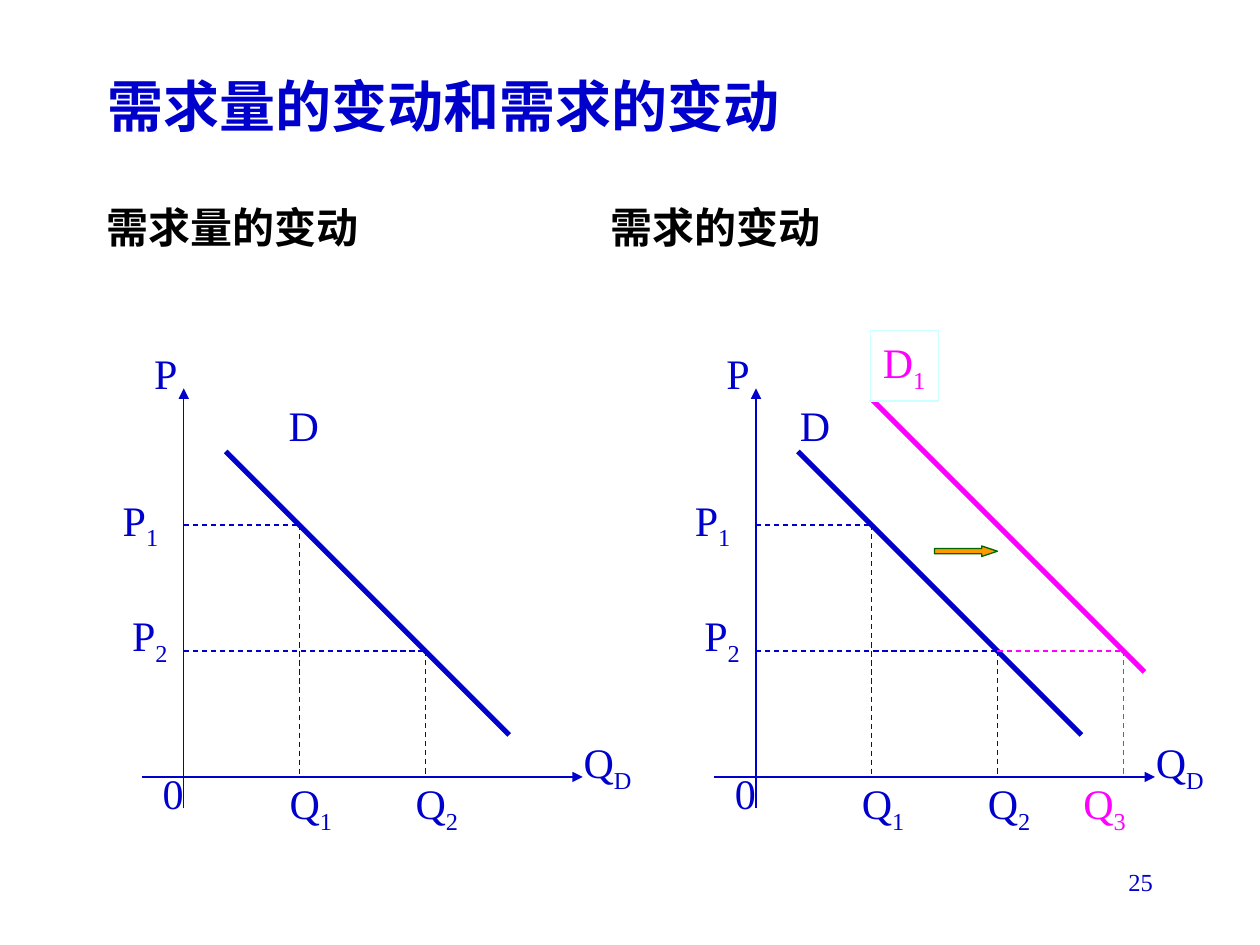
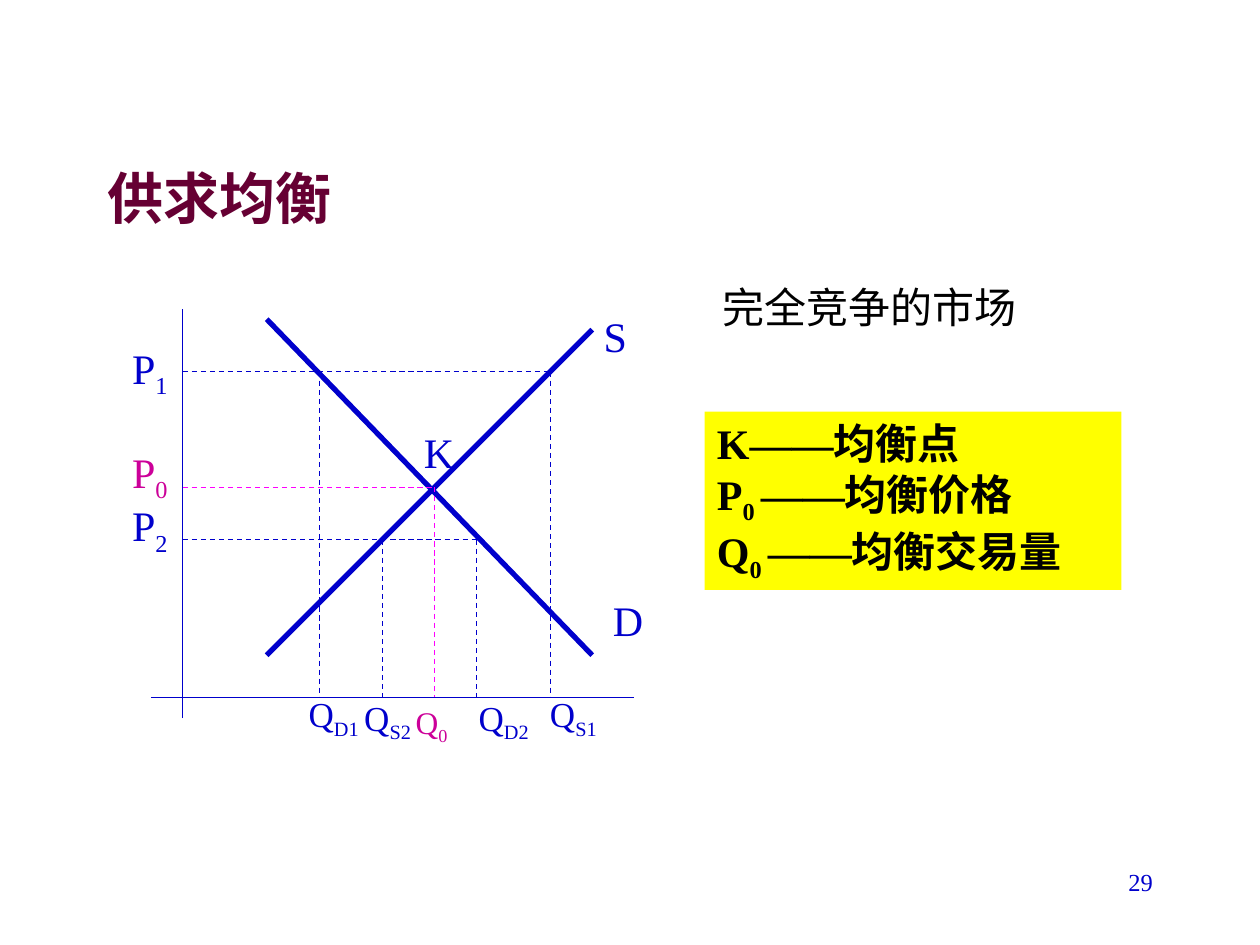
from dataclasses import dataclass

from lxml import etree
from pptx import Presentation, util as u
from pptx.dml.color import RGBColor
from pptx.enum import dml, shapes, text
from pptx.oxml.ns import qn

COLORS = {
    "blue": "0000CC", "black": "000000", "magenta": "FF00FF", "plum": "CC0099",
    "maroon": "660033", "white": "FFFFFF", "pale": "CCFFFF", "yellow": "FFFF00",
    "orange": "FF9900", "green": "006600",
}
LATIN_FONT, ASIAN_FONT = "Times New Roman", "Noto Sans CJK SC"

# The slide is a grid of 120 columns by 90 rows
COLUMNS, ROWS = 120, 90
WIDTH, HEIGHT = u.Inches(10), u.Inches(7.5)


@dataclass(frozen=True)
class Box:
    column: float
    row: float
    columns: float
    rows: float

    def lengths(self) -> tuple[int, int, int, int]:
        return (across(self.column), down(self.row), across(self.columns), down(self.rows))


@dataclass(frozen=True)
class Run:
    text: str
    subscript: bool = False


@dataclass(frozen=True)
class Style:
    size: float = 24
    color: str = "blue"
    bold: bool = False
    align: text.PP_ALIGN = text.PP_ALIGN.LEFT


@dataclass(frozen=True)
class Label:
    """Axis or curve label; x and y are grid steps from the diagram's origin."""
    x: float
    y: float
    base: str
    subscript: str = ""
    size: float = 24
    color: str = "blue"


@dataclass(frozen=True)
class Line:
    """Line between two points, in grid steps right of and above the origin."""
    start: tuple[float, float]
    end: tuple[float, float]
    color: str = "blue"
    width: float = 0.75
    dashed: bool = False
    arrow: bool = False


def across(columns: float) -> int:
    return round(WIDTH * columns / COLUMNS)


def down(rows: float) -> int:
    return round(HEIGHT * rows / ROWS)


def rgb(name: str) -> RGBColor:
    return RGBColor.from_string(COLORS[name])


# Text
def write(shape, paragraphs: list[list[Run]], style: Style, wrap: bool = True) -> None:
    frame = shape.text_frame
    frame.word_wrap = wrap
    frame.auto_size = text.MSO_AUTO_SIZE.NONE
    frame.vertical_anchor = text.MSO_ANCHOR.TOP
    for index, runs in enumerate(paragraphs):
        paragraph = frame.add_paragraph() if index else frame.paragraphs[0]
        paragraph.alignment = style.align
        for part in runs:
            run = paragraph.add_run()
            run.text = part.text
            font = run.font
            font.size, font.bold, font.name = u.Pt(style.size), style.bold, LATIN_FONT
            font.color.rgb = rgb(style.color)
            properties = font._rPr
            etree.SubElement(properties, qn("a:ea")).set("typeface", ASIAN_FONT)
            if part.subscript:
                properties.set("baseline", "-25000")


def add_text(slide, box: Box, content: str, style: Style) -> None:
    write(slide.shapes.add_textbox(*box.lengths()), [[Run(content)]], style)


def add_block(slide, kind, box: Box, fill: str, line: str | None = None):
    shape = slide.shapes.add_shape(kind, *box.lengths())
    shape.shadow.inherit = False
    shape.fill.solid()
    shape.fill.fore_color.rgb = rgb(fill)
    if line:
        shape.line.color.rgb = rgb(line)
        shape.line.width = u.Pt(0.75)
    else:
        shape.line.fill.background()
    return shape


def add_titled_slide(presentation, title: str, box: Box, color: str, number: int):
    slide = presentation.slides.add_slide(presentation.slide_layouts[5])
    shape = slide.shapes.title
    shape.left, shape.top, shape.width, shape.height = box.lengths()
    write(shape, [[Run(title)]], Style(32, color, bold=True))
    add_text(slide, Box(86, 82, 25, 6), str(number), Style(14, align=text.PP_ALIGN.RIGHT))
    return slide


# Diagrams
@dataclass(frozen=True)
class Diagram:
    slide: object
    column: float
    row: float

    def line(self, line: Line) -> None:
        points = [length for x, y in (line.start, line.end)
                  for length in (across(self.column + x), down(self.row - y))]
        connector = self.slide.shapes.add_connector(shapes.MSO_CONNECTOR.STRAIGHT, *points)
        connector.line.color.rgb = rgb(line.color)
        connector.line.width = u.Pt(line.width)
        if line.dashed:
            connector.line.dash_style = dml.MSO_LINE.DASH
        if line.arrow:
            tail = etree.SubElement(connector.line._get_or_add_ln(), qn("a:tailEnd"))
            tail.set("type", "triangle")
        etree.SubElement(connector._element.spPr, qn("a:effectLst"))

    def axes(self, left: float, right: float, bottom: float, top: float, arrow: bool) -> None:
        self.line(Line((0, bottom), (0, top), arrow=arrow))
        self.line(Line((left, 0), (right, 0), arrow=arrow))

    def curve(self, start: tuple[float, float], end: tuple[float, float],
              color: str = "blue") -> None:
        self.line(Line(start, end, color, width=3))

    def guides(self, x: float, y: float, color: str = "blue", from_x: float = 0) -> None:
        """Dashed lines from a point on a curve to both axes."""
        self.line(Line((from_x, y), (x, y), color, dashed=True))
        self.line(Line((x, y), (x, 0), color, dashed=True))

    def box(self, x: float, y: float, columns: float, rows: float) -> Box:
        return Box(self.column + x, self.row - y, columns, rows)

    def label(self, label: Label, shape=None) -> None:
        wrap = shape is None
        if shape is None:
            shape = self.slide.shapes.add_textbox(*self.box(label.x, label.y, 8, 6.7).lengths())
        runs = [Run(label.base)]
        if label.subscript:
            runs.append(Run(label.subscript, subscript=True))
        write(shape, [runs], Style(label.size, label.color), wrap)


def add_demand_diagram(slide, column: float, demand_x: float) -> Diagram:
    diagram = Diagram(slide, column, 74)
    diagram.axes(-4, 38, -3, 37, arrow=True)
    diagram.curve((4, 31), (31, 4))
    for x, y in ((11, 24), (23, 12)):
        diagram.guides(x, y)
    for label in (
        Label(demand_x, 36.5, "D"), Label(36.9, 4.4, "Q", "D"), Label(-4, 41.5, "P"),
        Label(-7, 27.5, "P", "1"), Label(-6.1, 16.5, "P", "2"),
        Label(8.9, 0.5, "Q", "1"), Label(20.9, 0.5, "Q", "2"), Label(-3.2, 1.5, "0"),
    ):
        diagram.label(label)
    return diagram


def build_demand_slide(presentation) -> None:
    slide = add_titled_slide(presentation, "需求量的变动和需求的变动",
                             Box(9, 6.25, 102, 9), "blue", 25)
    for column, heading in ((9, "需求量的变动"), (57, "需求的变动")):
        add_text(slide, Box(column, 18.6, 43, 7.5), heading, Style(24, "black", bold=True))
    add_demand_diagram(slide, 17.5, demand_x=8.8)
    shifted = add_demand_diagram(slide, 72, demand_x=3)

    # Demand shifts to the right
    shifted.curve((11, 36), (37, 10), "magenta")
    tag = add_block(slide, shapes.MSO_SHAPE.RECTANGLE,
                    shifted.box(10.9, 42.5, 6.5, 6.7), "white", "pale")
    shifted.label(Label(0, 0, "D", "1", color="magenta"), tag)
    arrow = add_block(slide, shapes.MSO_SHAPE.RIGHT_ARROW,
                      shifted.box(17, 22, 6, 1), "orange", "green")
    arrow.adjustments[1] = 1.5
    shifted.guides(35, 12, "magenta", from_x=23)
    shifted.label(Label(30, 0.5, "Q", "3", color="magenta"))


def build_equilibrium_slide(presentation) -> None:
    slide = add_titled_slide(presentation, "供求均衡", Box(9, 15, 102, 8.3), "maroon", 29)
    diagram = Diagram(slide, 17.4, 66.4)
    diagram.axes(-3, 43, -2, 37, arrow=False)
    diagram.curve((8, 4), (39, 35))
    diagram.curve((8, 36), (39, 4))

    # Prices above and below equilibrium, then equilibrium itself
    for price, quantities in ((31, (13, 35)), (15, (19, 28))):
        diagram.line(Line((0, price), (quantities[-1], price), dashed=True))
        for quantity in quantities:
            diagram.line(Line((quantity, price), (quantity, 0), dashed=True))
    diagram.guides(24, 20, "magenta")
    for label in (
        Label(38.9, 37.4, "S"), Label(39.8, 10.4, "D"), Label(21.8, 26.4, "K"),
        Label(-6, 34.4, "P", "1"), Label(-6, 24.5, "P", "0", color="plum"),
        Label(-6, 19.4, "P", "2"), Label(21, 0, "Q", "0", 18, "plum"),
        Label(10.8, 1, "Q", "D1", 20), Label(33.8, 1, "Q", "S1", 20),
        Label(16.1, 0.7, "Q", "S2", 20), Label(27, 0.7, "Q", "D2", 20),
    ):
        diagram.label(label)

    # Legend
    add_text(slide, Box(67.6, 26.2, 32, 6), "完全竞争的市场", Style(24, "black"))
    legend = add_block(slide, shapes.MSO_SHAPE.RECTANGLE, Box(67.1, 39.2, 39.7, 17), "yellow")
    write(legend, [
        [Run("K——均衡点")],
        [Run("P"), Run("0 ", True), Run("——均衡价格")],
        [Run("Q"), Run("0 ", True), Run("——均衡交易量")],
    ], Style(24, "black", bold=True))


def main() -> None:
    presentation = Presentation()
    presentation.slide_width, presentation.slide_height = WIDTH, HEIGHT
    build_demand_slide(presentation)
    build_equilibrium_slide(presentation)
    presentation.save("out.pptx")


if __name__ == "__main__":
    main()
